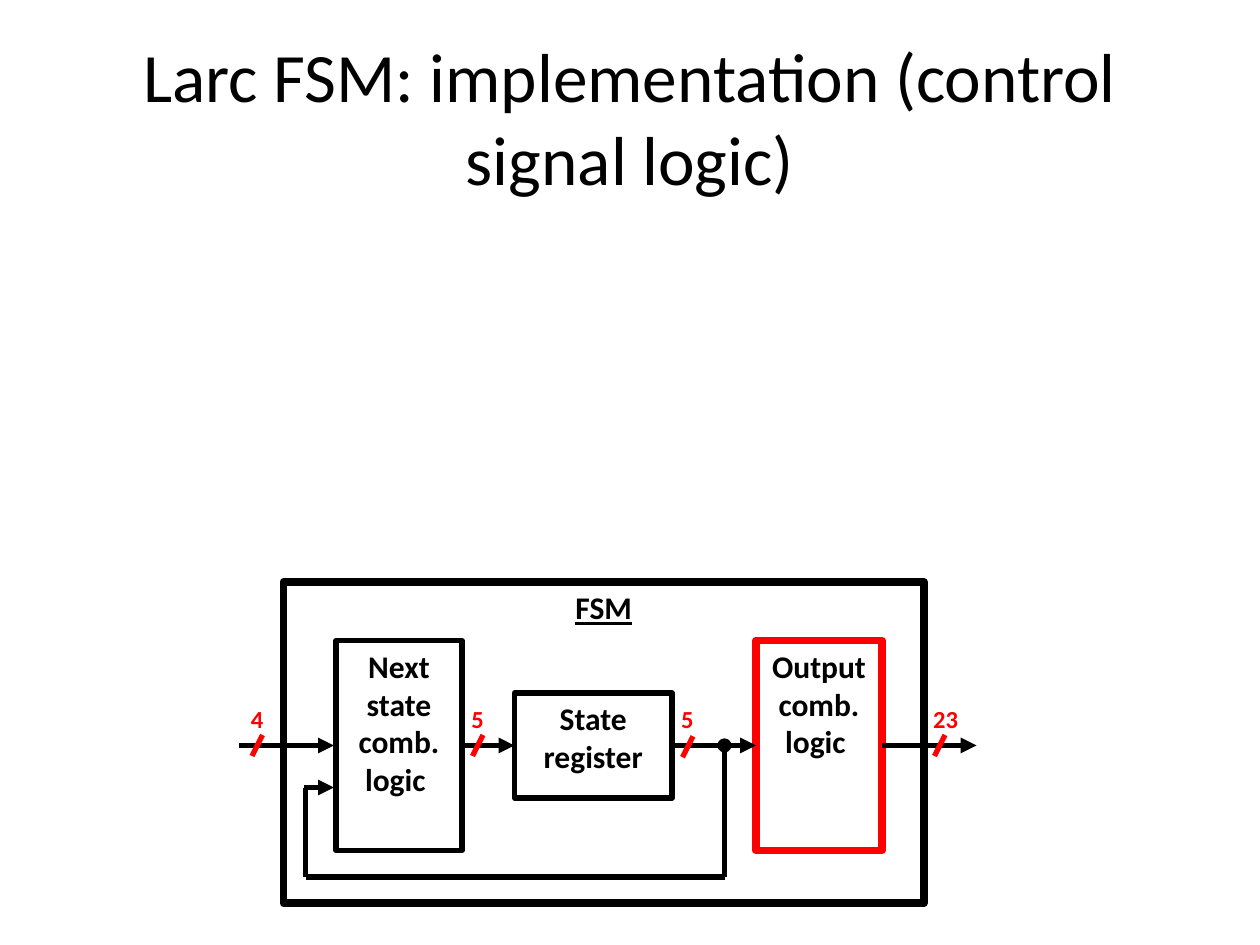
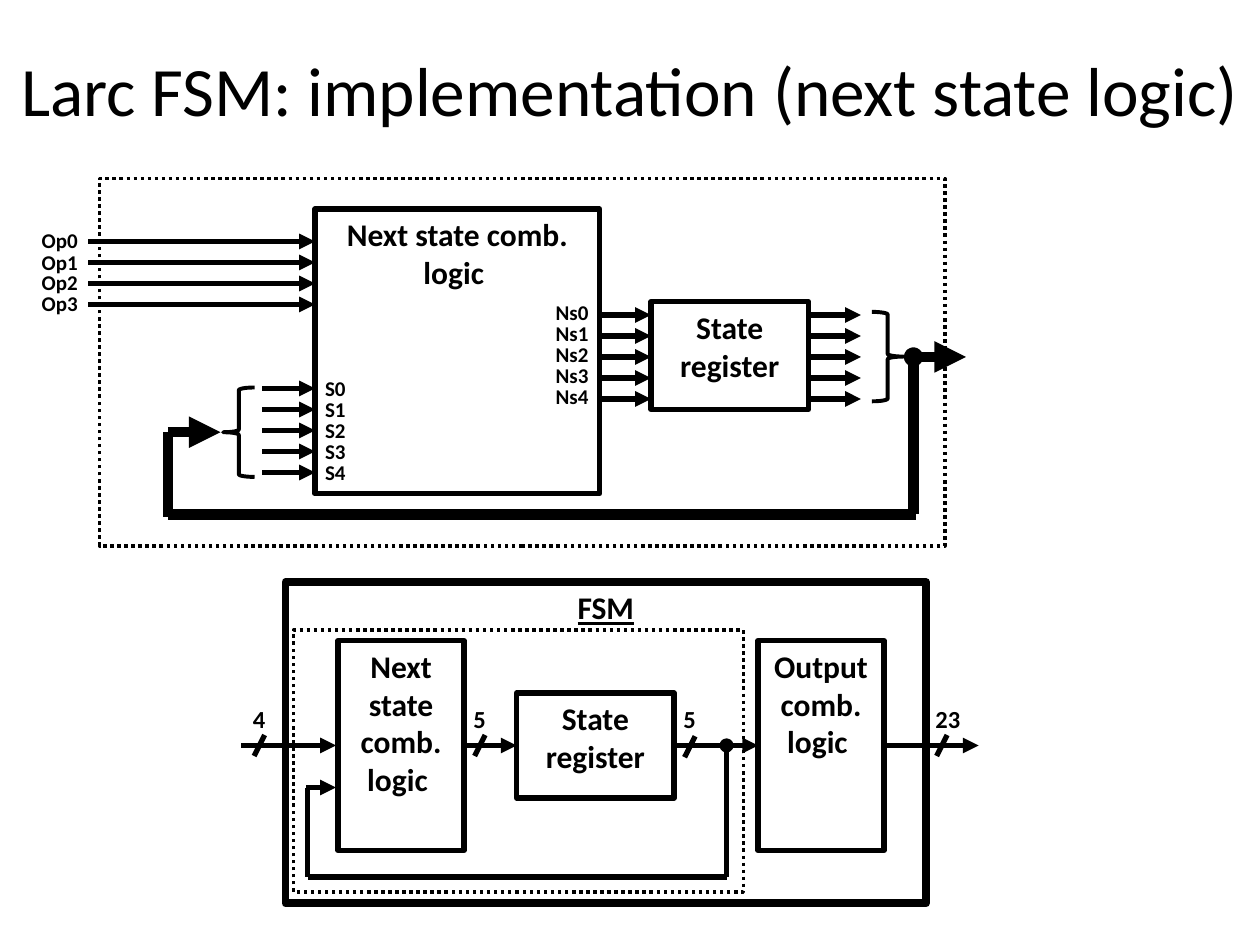
from lxml.etree import SubElement
from pptx import Presentation
from pptx.dml.color import RGBColor
from pptx.enum.dml import MSO_LINE
from pptx.enum.shapes import MSO_CONNECTOR, MSO_SHAPE
from pptx.enum.text import MSO_ANCHOR, MSO_AUTO_SIZE, PP_ALIGN
from pptx.oxml.ns import qn
from pptx.util import Inches, Pt

FONT = "Calibri"
BLACK = "000000"
RED = "FF0000"
PITCH = 1 / 6
DOT = 0.07
THIN, THICK, BUS = 3, 4.5, 6


def color(hex_value):
    """Turn a hex string into a colour."""
    return RGBColor.from_string(hex_value)


def add_run(paragraph, text, size, ink=BLACK, bold=True, underline=None):
    """Append one styled run to a paragraph."""
    run = paragraph.add_run()
    run.text = text
    run.font.name = FONT
    run.font.size = Pt(size)
    run.font.bold = bold
    run.font.underline = underline
    run.font.color.rgb = color(ink)


def add_title(slide, text, left, top, width):
    """Add a centred slide title."""
    title = slide.shapes.add_textbox(Inches(left), Inches(top), Inches(width), Inches(1.25))
    frame = title.text_frame
    frame.word_wrap = True
    frame.vertical_anchor = MSO_ANCHOR.MIDDLE
    frame.paragraphs[0].alignment = PP_ALIGN.CENTER
    add_run(frame.paragraphs[0], text, 39.6, bold=False)


def add_outline(slide, kind, left, top, width, height, weight, ink=BLACK):
    """Add an unfilled preset shape with a solid outline."""
    outline = slide.shapes.add_shape(kind, Inches(left), Inches(top), Inches(width), Inches(height))
    outline.shadow.inherit = False
    outline.fill.background()
    outline.line.color.rgb = color(ink)
    outline.line.width = Pt(weight)
    return outline


def add_block(slide, text, left, top, width, height, weight=THIN, ink=BLACK, underline=None):
    """Add a rectangular logic block named at its top."""
    block = add_outline(slide, MSO_SHAPE.RECTANGLE, left, top, width, height, weight, ink)
    frame = block.text_frame
    frame.word_wrap = True
    frame.vertical_anchor = MSO_ANCHOR.TOP
    frame.paragraphs[0].alignment = PP_ALIGN.CENTER
    add_run(frame.paragraphs[0], text, 18, underline=underline)


def add_boundary(slide, left, top, width, height):
    """Add a dotted boundary around a part of the machine."""
    boundary = add_outline(slide, MSO_SHAPE.RECTANGLE, left, top, width, height, 2)
    boundary.line.dash_style = MSO_LINE.ROUND_DOT


def add_brace(slide, left, top, rotation=0):
    """Add a brace that bundles five wires."""
    brace = add_outline(slide, MSO_SHAPE.RIGHT_BRACE, left, top, 0.25, 0.71, 2.25)
    brace.rotation = rotation


def add_junction(slide, x, y, weight=THIN):
    """Add a filled wire junction centred on a point."""
    dot = add_outline(slide, MSO_SHAPE.OVAL, x - DOT / 2, y - DOT / 2, DOT, DOT, weight)
    dot.fill.solid()
    dot.fill.fore_color.rgb = color(BLACK)


def add_wire(slide, x1, y1, x2, y2, weight=THIN, ink=BLACK, arrow=False):
    """Add a straight wire, with an arrowhead at its end if asked."""
    wire = slide.shapes.add_connector(
        MSO_CONNECTOR.STRAIGHT, Inches(x1), Inches(y1), Inches(x2), Inches(y2))
    wire.line.color.rgb = color(ink)
    wire.line.width = Pt(weight)
    properties = wire._element.spPr
    if arrow:
        SubElement(properties.find(qn("a:ln")), qn("a:tailEnd"), type="triangle")
    SubElement(properties, qn("a:effectLst"))


def add_label(slide, text, left, top, width, size, ink=BLACK):
    """Add a tight signal label."""
    label = slide.shapes.add_textbox(
        Inches(left), Inches(top), Inches(width), Inches(size / 60))
    frame = label.text_frame
    frame.margin_left = frame.margin_right = frame.margin_top = frame.margin_bottom = 0
    frame.word_wrap = False
    frame.auto_size = MSO_AUTO_SIZE.SHAPE_TO_FIT_TEXT
    add_run(frame.paragraphs[0], text, size, ink)


def add_wire_group(slide, count, x1, x2, top):
    """Add evenly spaced parallel arrows."""
    for index in range(count):
        y = top + index * PITCH
        add_wire(slide, x1, y, x2, y, arrow=True)


def add_signal_names(slide, prefix, count, left, top, width):
    """Add numbered signal names at the wire pitch."""
    for index in range(count):
        add_label(slide, f"{prefix}{index}", left, top + index * PITCH, width, 12)


def add_fsm_overview(slide, shift=0, width_ink=BLACK, output_ink=BLACK, output_weight=THIN):
    """Draw the whole state machine, shifted right by a given length."""
    logic_top, logic_height = 61 / 12, 5 / 3
    add_block(slide, "FSM", 2.25 + shift, 4.62, 61 / 12, 2.55, THICK, underline=True)
    add_block(slide, "Next state comb. logic ", 8 / 3 + shift, logic_top, 1, logic_height)
    add_block(slide, "Output comb. logic ", 6 + shift, logic_top, 1, logic_height,
              output_weight, output_ink)
    add_block(slide, "State register", 49 / 12 + shift, 5.5, 1.25, 5 / 6)

    signal_y, feedback_y, return_y = 71 / 12, 6.96, 6.25
    for start, end in ((1.9, 2.65), (11 / 3, 49 / 12), (16 / 3, 6), (7, 7.75)):
        add_wire(slide, start + shift, signal_y, end + shift, signal_y, arrow=True)

    tap, entry = 5.75 + shift, 2.425 + shift
    add_junction(slide, tap, signal_y)
    add_wire(slide, tap, signal_y, tap, feedback_y)
    add_wire(slide, entry, feedback_y, tap, feedback_y)
    add_wire(slide, entry, return_y, entry, feedback_y)
    add_wire(slide, entry - 0.01, return_y, 2.65 + shift, return_y, arrow=True)

    for bits, x, drop in (("4", 2, 0), ("5", 3.75, 0), ("5", 65 / 12, 0.01), ("23", 89 / 12, 0)):
        x += shift
        slash_top = 35 / 6 + drop
        add_wire(slide, x + 1 / 12, slash_top, x, slash_top + PITCH, ink=width_ink)
        add_label(slide, bits, x - 0.01, 5.59, 0.1 * len(bits) + 0.01, 14, width_ink)


def add_next_state_detail(slide):
    """Draw the next state logic with every signal shown."""
    register_left, register_right = 31 / 6, 77 / 12
    add_block(slide, "Next state comb. logic ", 2.5, 1.66, 2.26, 2.26)
    add_wire_group(slide, 4, 0.7, 2.5, 23 / 12)
    add_wire_group(slide, 5, 25 / 12, 2.5, 37 / 12)
    add_signal_names(slide, "Op", 4, 0.33, 1.81, 0.31)
    add_signal_names(slide, "S", 5, 2.58, 2.98, 0.19)
    add_wire_group(slide, 5, 4.75, register_left, 2.5)
    add_signal_names(slide, "Ns", 5, 4.41, 2.38, 0.29)
    add_block(slide, "State register", register_left, 2.395, 1.25, 0.855)
    add_wire_group(slide, 5, register_right, 41 / 6, 2.5)

    tap, entry, output_y, feedback_y, return_y = 7.25, 4 / 3, 17 / 6, 49 / 12, 3.43
    add_brace(slide, 6.92, 2.475)
    add_wire(slide, tap, output_y, tap, feedback_y, BUS)
    add_wire(slide, entry, feedback_y, tap + 0.02, feedback_y, BUS)
    add_wire(slide, entry, return_y, entry, feedback_y + 0.02, BUS)
    add_brace(slide, 1.77, 3.075, rotation=180)
    add_wire(slide, entry, return_y, 1.75, return_y, BUS, arrow=True)
    add_wire(slide, tap, output_y, 23 / 3, output_y, BUS, arrow=True)
    add_junction(slide, tap, output_y, BUS)


def main():
    """Build both slides and save them."""
    deck = Presentation()
    deck.slide_width, deck.slide_height = Inches(10), Inches(7.5)
    blank = deck.slide_layouts[6]

    control = deck.slides.add_slide(blank)
    add_title(control, "Larc FSM: implementation (control signal logic)", 0.5, 0.3, 9)
    add_fsm_overview(control, width_ink=RED, output_ink=RED, output_weight=THICK)

    next_state = deck.slides.add_slide(blank)
    add_title(next_state, "Larc FSM: implementation (next state logic)", 0, 0.08, 10)
    add_fsm_overview(next_state, shift=1 / 60)
    add_next_state_detail(next_state)
    add_boundary(next_state, 0.79, 17 / 12, 6.71, 35 / 12)
    add_boundary(next_state, 2.33, 5, 3.57, 2.08)

    deck.save("out.pptx")


if __name__ == "__main__":
    main()
